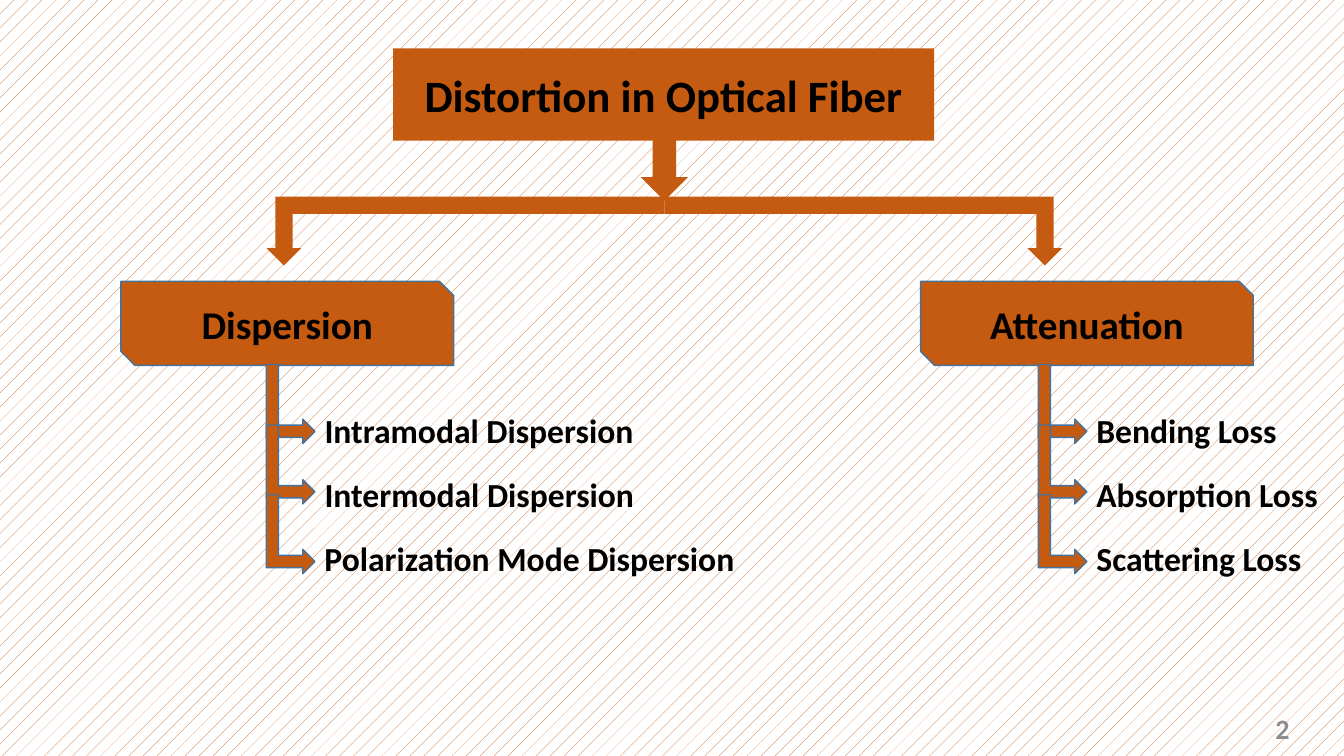
from dataclasses import dataclass

from lxml import etree
from pptx import Presentation
from pptx import util as u
from pptx.dml.color import RGBColor
from pptx.enum import dml, shapes, text
from pptx.oxml.ns import qn

GEO = shapes.MSO_SHAPE
ALIGN = text.PP_ALIGN
COLS, ROWS = 160, 90


@dataclass(frozen=True)
class Theme:
    """Colours, font and type sizes of the slide."""
    accent: str = "C55A11"
    outline: str = "43739E"
    ink: str = "000000"
    paper: str = "FFFFFF"
    muted: str = "8C8C8C"
    font: str = "Calibri"
    title: int = 32
    heading: int = 28
    label: int = 24
    number: int = 20


T = Theme()
prs = Presentation()
prs.slide_width, prs.slide_height = u.Inches(13.333), u.Inches(7.5)


def place(x, y, w, h):
    """Turn grid columns and rows into slide lengths."""
    col, row = prs.slide_width / COLS, prs.slide_height / ROWS
    return [u.Emu(round(n)) for n in (x * col, y * row, w * col, h * row)]


def paint(sp, outlined=False):
    """Give a shape the accent fill, with a thin outline or none."""
    sp.shadow.inherit = False
    sp.fill.solid()
    sp.fill.fore_color.rgb = RGBColor.from_string(T.accent)
    if outlined:
        sp.line.color.rgb = RGBColor.from_string(T.outline)
        sp.line.width = u.Pt(1)
    else:
        sp.line.fill.background()


def write(sp, words, size, color=T.ink, align=ALIGN.CENTER,
          anchor=text.MSO_ANCHOR.MIDDLE):
    """Write one bold paragraph into a shape."""
    tf = sp.text_frame
    tf.word_wrap = True
    tf.auto_size = text.MSO_AUTO_SIZE.NONE
    tf.vertical_anchor = anchor
    p = tf.paragraphs[0]
    p.text, p.alignment = words, align
    p.font.name, p.font.size, p.font.bold = T.font, u.Pt(size), True
    p.font.color.rgb = RGBColor.from_string(color)


def add_shape(parent, kind, box, outlined=False, rotation=0):
    """Add a painted preset shape to a slide or group."""
    sp = parent.shapes.add_shape(kind, *place(*box))
    sp.rotation = rotation
    paint(sp, outlined)
    return sp


def add_label(s, words, box, size=T.label, **style):
    """Add a text box."""
    write(s.shapes.add_textbox(*place(*box)), words, size, **style)


def title_box(s, x, y, w, h):
    """Turn the title placeholder into the root box of the tree."""
    sp = s.shapes.title
    sp.left, sp.top, sp.width, sp.height = place(x, y, w, h)
    geom = etree.SubElement(sp._element.spPr, qn("a:prstGeom"), prst="snip2DiagRect")
    etree.SubElement(geom, qn("a:avLst"))
    paint(sp)
    write(sp, "Distortion in Optical Fiber", T.title)


def fork(s, x, y, w, h):
    """Draw the arrow from the root and its split to both sides."""
    stem_w, split_h = 5.6, 8.2
    split_y = y + h - split_h
    add_shape(s, GEO.DOWN_ARROW, (x + (w - stem_w) / 2, y, stem_w, 8.5))
    group = s.shapes.add_group_shape()
    for side in range(2):
        arm = add_shape(group, GEO.BENT_UP_ARROW,
                        (x + side * w / 2, split_y, w / 2, split_h), rotation=180)
        if side:
            arm._element.spPr.xfrm.set("flipH", "1")


def branch(s, x, y, w, h, heading, stem, step, items):
    """Draw a heading box, the arrows below it and their labels."""
    write(add_shape(s, GEO.SNIP_2_DIAG_RECTANGLE, (x, y, w, h), outlined=True),
          heading, T.heading)
    for drop in (11.7, 18.9, 27.2):
        add_shape(s, GEO.BENT_UP_ARROW, (x + stem, y + drop, 9.4, 5.8),
                  outlined=True, rotation=90)
    for i, (words, width) in enumerate(items):
        add_label(s, words, (x + stem + 7.55, y + 14.7 + i * step, width, 6),
                  align=ALIGN.LEFT, anchor=text.MSO_ANCHOR.TOP)


def tree_slide():
    """Build the distortion tree slide."""
    s = prs.slides.add_slide(prs.slide_layouts[5])
    fill = s.background.fill
    fill.patterned()
    fill.pattern = dml.MSO_PATTERN.PERCENT_5
    fill.fore_color.rgb = RGBColor.from_string(T.accent)
    fill.back_color.rgb = RGBColor.from_string(T.paper)

    title_box(s, 46.8, 5.75, 64.4, 11)
    fork(s, 31.75, 15.4, 94.7, 16.2)
    branch(s, 14.4, 33.5, 39.6, 10, "Dispersion", 15.5, 7.6,
           [("Intramodal Dispersion", 41.6), ("Intermodal Dispersion", 41.6),
            ("Polarization Mode Dispersion", 54.5)])
    branch(s, 109.6, 33.5, 39.6, 10, "Attenuation", 12.2, 7.65,
           [("Bending Loss", 32.6), ("Absorption Loss", 32.6),
            ("Scattering Loss", 32.6)])
    add_label(s, "2", (115.2, 83.3, 39.5, 6.7), T.number,
              color=T.muted, align=ALIGN.RIGHT)


tree_slide()
prs.save("out.pptx")
